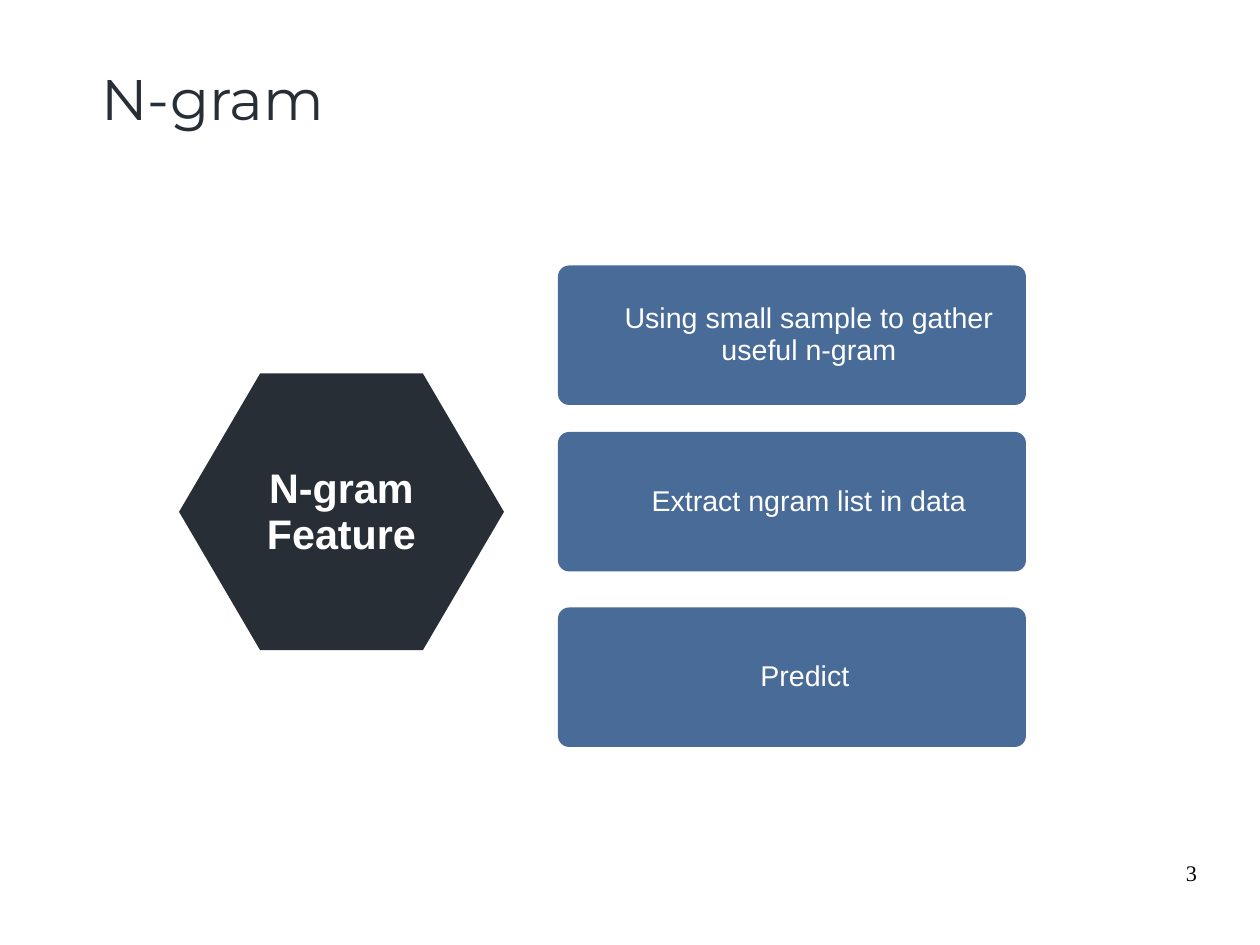
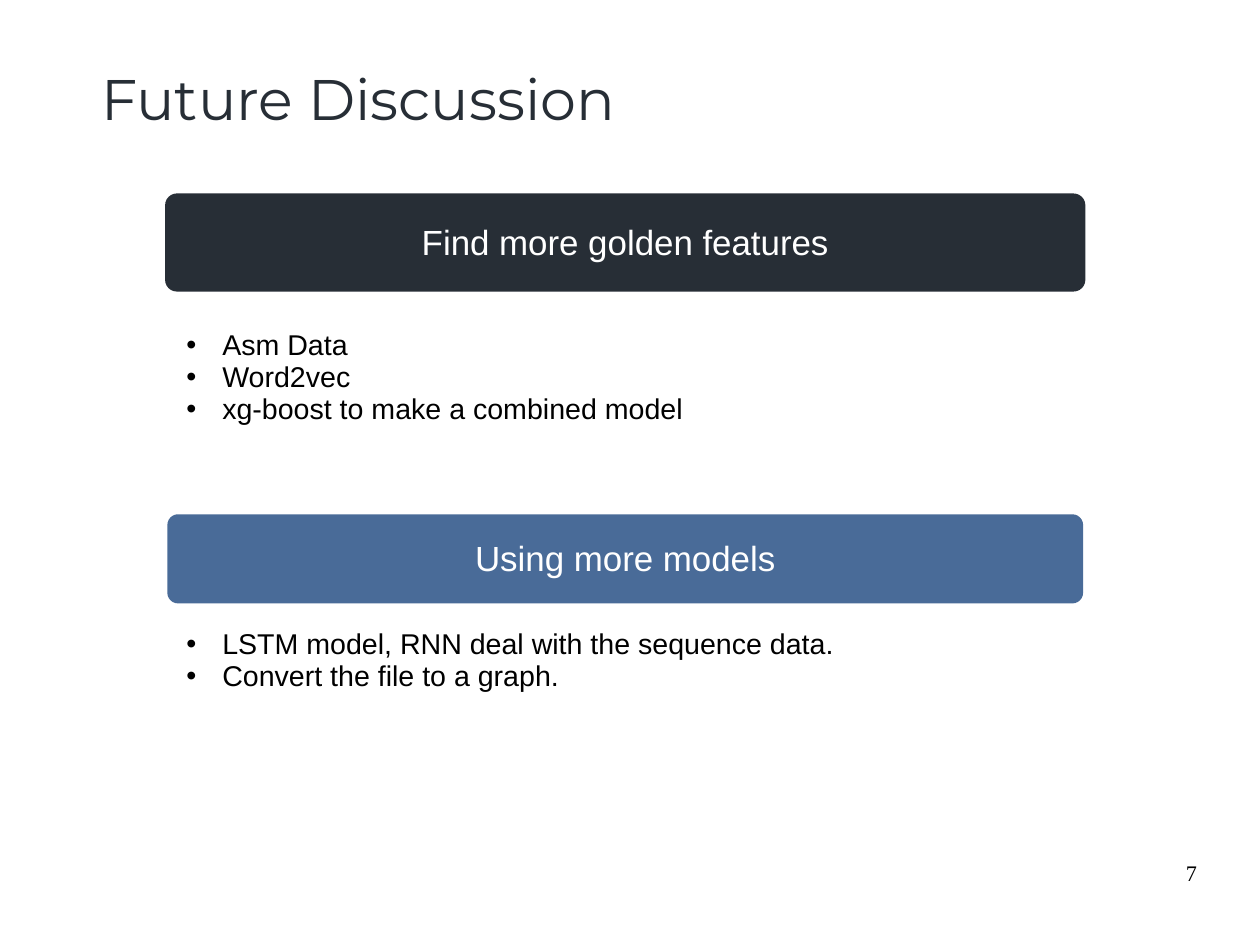
from dataclasses import dataclass

from lxml import etree
from pptx import Presentation
from pptx.dml.color import RGBColor
from pptx.enum import shapes, text
from pptx.oxml import ns
from pptx.util import Cm, Pt

LEFT, CENTER, RIGHT = text.PP_ALIGN.LEFT, text.PP_ALIGN.CENTER, text.PP_ALIGN.RIGHT
TOP, MIDDLE = text.MSO_ANCHOR.TOP, text.MSO_ANCHOR.MIDDLE


@dataclass(frozen=True)
class Theme:
    dark: str = "272E36"
    blue: str = "496B98"
    white: str = "FFFFFF"
    black: str = "000000"
    title_font: str = "Montserrat"
    body_font: str = "Arial"
    number_font: str = "Times New Roman"
    title_size: int = 36
    hub_size: int = 26
    header_size: int = 22
    body_size: int = 18
    number_size: int = 14
    inset: tuple = (0.25, 0.13, 0.25, 0.13)
    shape_inset: tuple = (0.25, 0.18, 0.25, 0.13)
    card_inset: tuple = (1, -0.05, 0.25, -0.05)


def add_bullet(p, color):
    """Give a paragraph a hanging round bullet."""
    pPr = p._p.get_or_add_pPr()
    pPr.set("marL", str(Cm(0.8)))
    pPr.set("indent", str(-Cm(0.8)))
    clr = etree.SubElement(pPr, ns.qn("a:buClr"))
    etree.SubElement(clr, ns.qn("a:srgbClr")).set("val", color)
    etree.SubElement(pPr, ns.qn("a:buFont")).set("typeface", "Arial")
    etree.SubElement(pPr, ns.qn("a:buChar")).set("char", "•")


def write(sp, lines, *, font, size, color, inset, bold=False, align=LEFT,
          anchor=TOP, spacing=0.93, wrap=True, bullets=False):
    """Fill a shape with one paragraph per line."""
    tf = sp.text_frame
    tf.auto_size = text.MSO_AUTO_SIZE.NONE
    tf.word_wrap = wrap
    tf.vertical_anchor = anchor
    tf.margin_left, tf.margin_top, tf.margin_right, tf.margin_bottom = map(Cm, inset)
    for i, line in enumerate(lines):
        p = tf.add_paragraph() if i else tf.paragraphs[0]
        p.alignment = align
        p.line_spacing = spacing
        p.space_before = Pt(0)
        if bullets:
            add_bullet(p, color)
        r = p.add_run()
        r.text = line
        r.font.name, r.font.size, r.font.bold = font, Pt(size), bold
        r.font.color.rgb = RGBColor.from_string(color)


class Deck:
    def __init__(self, theme):
        self.theme = theme
        self.prs = Presentation()
        self.prs.slide_width, self.prs.slide_height = Cm(28), Cm(21)
        self.s = None

    def place(self, sp, box):
        sp.left, sp.top, sp.width, sp.height = map(Cm, box)
        return sp

    def slide(self, layout, title, number):
        """Start a slide with the shared title and page number."""
        t = self.theme
        self.s = self.prs.slides.add_slide(self.prs.slide_layouts.get_by_name(layout))
        sp = self.place(self.s.shapes.title, (2, 1, 24.3, 2.05))
        write(sp, [title], font=t.title_font, size=t.title_size, color=t.dark,
              inset=t.inset, spacing=1.18)
        sp = self.s.shapes.add_textbox(*map(Cm, (20.07, 19.13, 6.53, 1.45)))
        write(sp, [str(number)], font=t.number_font, size=t.number_size,
              color=t.black, inset=(0, 0, 0, 0), align=RIGHT, spacing=0.95)

    def block(self, kind, box, lines, *, fill, size, adjust, inset, **style):
        """Filled shape with centred white text."""
        t = self.theme
        sp = self.s.shapes.add_shape(kind, *map(Cm, box))
        sp.shadow.inherit = False
        sp.adjustments[0] = adjust
        sp.fill.solid()
        sp.fill.fore_color.rgb = RGBColor.from_string(fill)
        sp.line.fill.background()
        write(sp, lines, font=t.body_font, size=size, color=t.white, inset=inset,
              align=CENTER, anchor=MIDDLE, **style)

    def hub(self, box, lines):
        t = self.theme
        self.block(shapes.MSO_SHAPE.HEXAGON, box, lines, fill=t.dark, size=t.hub_size,
                   adjust=0.293, inset=t.shape_inset, bold=True, wrap=False)

    def card(self, box, line):
        t = self.theme
        self.block(shapes.MSO_SHAPE.ROUNDED_RECTANGLE, box, [line], fill=t.blue,
                   size=t.body_size, adjust=0.08, inset=t.card_inset)

    def header(self, box, line, fill):
        t = self.theme
        self.block(shapes.MSO_SHAPE.ROUNDED_RECTANGLE, box, [line], fill=fill,
                   size=t.header_size, adjust=0.12, inset=t.shape_inset)

    def bullets(self, idx, box, lines):
        t = self.theme
        sp = self.place(self.s.placeholders[idx], box)
        write(sp, lines, font=t.body_font, size=t.body_size, color=t.black,
              inset=t.inset, bullets=True)


def main():
    theme = Theme()
    deck = Deck(theme)

    # N-gram: hub and three steps
    deck.slide("Title Only", "N-gram", 3)
    deck.hub((3.98, 8.3, 7.22, 6.15), ["N-gram", "Feature"])
    steps = [(5.9, "Using small sample to gather useful n-gram"),
             (9.6, "Extract ngram list in data"),
             (13.5, "Predict ")]
    for top, step in steps:
        deck.card((12.4, top, 10.4, 3.1), step)

    # Future discussion: two headed lists
    deck.slide("Two Content", "Future Discussion", 7)
    deck.header((3.67, 4.3, 20.45, 2.18), "Find more golden features", theme.dark)
    deck.header((3.72, 11.43, 20.35, 1.98), "Using more models", theme.blue)
    deck.bullets(1, (3.89, 7.21, 20.17, 3.1),
                 ["Asm Data", "Word2vec", "xg-boost to make a combined model"])
    deck.bullets(2, (3.89, 13.85, 20.17, 3.45),
                 ["LSTM model, RNN deal with the sequence data.",
                  "Convert the file to a graph."])

    deck.prs.save("out.pptx")


if __name__ == "__main__":
    main()
